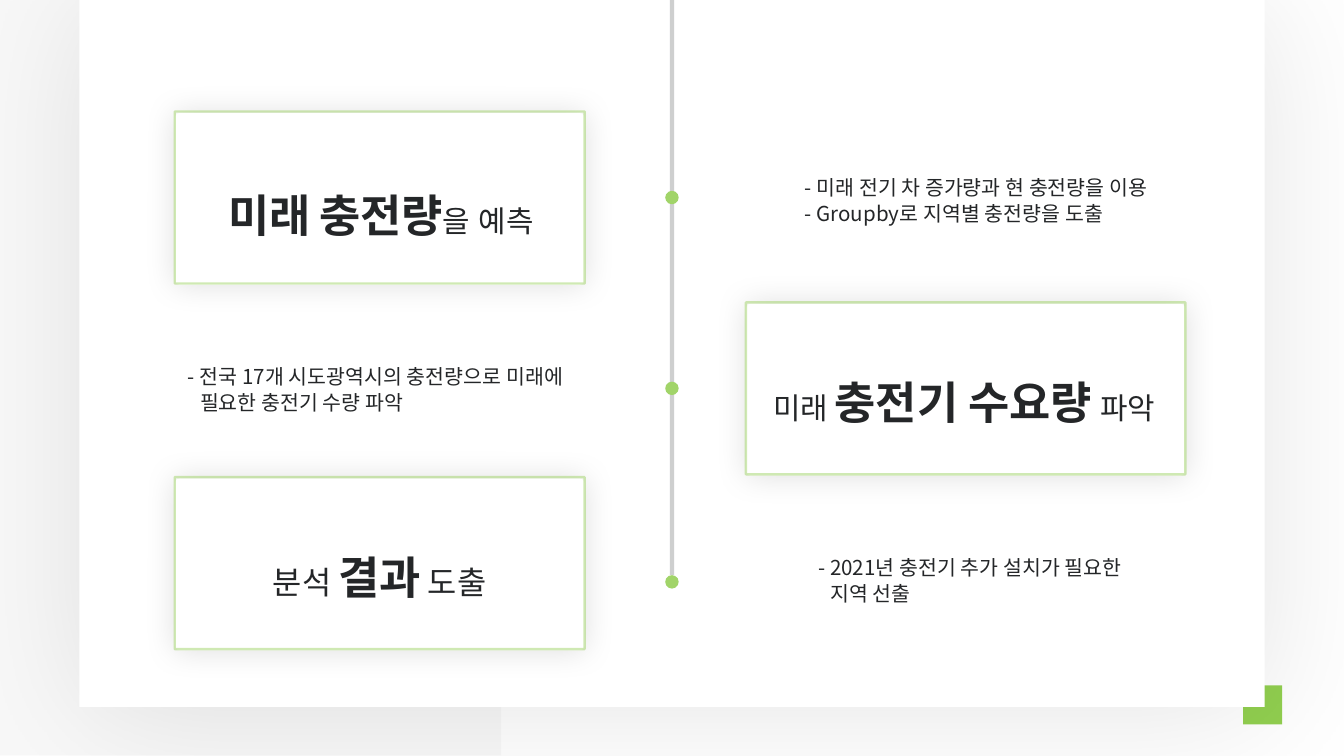
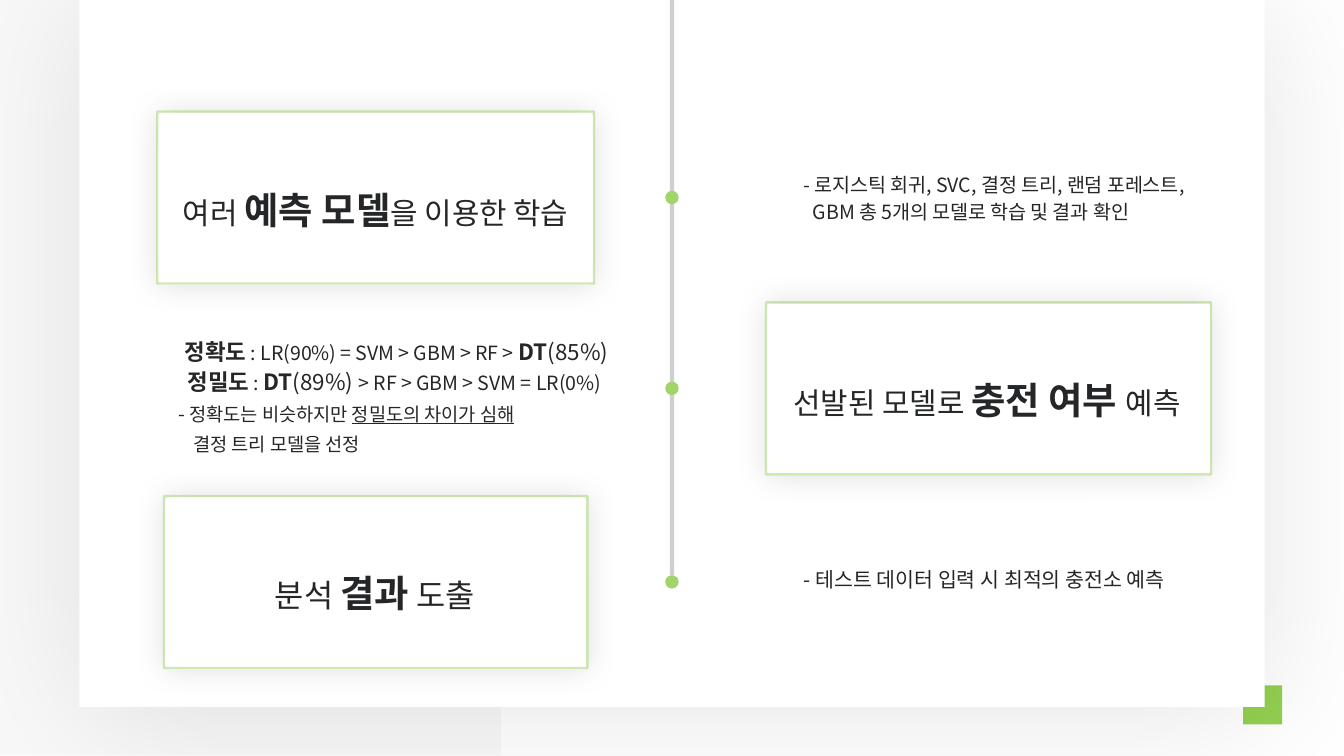
from lxml.etree import SubElement
from pptx import Presentation
from pptx.dml.color import RGBColor
from pptx.enum.shapes import MSO_CONNECTOR as Link, MSO_SHAPE as Kind
from pptx.enum.text import MSO_ANCHOR as Anchor, MSO_AUTO_SIZE as Fit, PP_ALIGN as Align
from pptx.oxml.ns import qn
from pptx.util import Inches, Pt

FONT = "Noto Sans CJK KR"
INK, WHITE, BLACK = "242628", "FFFFFF", "000000"
GREEN, CORNER, GRAY = "A1D469", "92D050", "BFBFBF"
CARD_HIGH = 1.28
DOT = 0.1


def color(code):
    return RGBColor.from_string(code)


def fade(node, share):
    SubElement(node, qn("a:alpha"), val=str(share * 1000))


class Deck:
    def __init__(self):
        self.prs = Presentation()
        self.prs.slide_width = Inches(10)
        self.prs.slide_height = Inches(10) * 9 // 16
        self.slide = None

    def page(self):
        self.slide = self.prs.slides.add_slide(self.prs.slide_layouts[6])
        self.shape(Kind.RECTANGLE, -0.49, 0, 4.22, 5.62, GRAY, alpha=10)
        self.shape(Kind.RECTANGLE, 9.25, 5.1, 0.29, 0.29, CORNER)
        sheet = self.shape(Kind.RECTANGLE, 0.59, -0.02, 8.82, 5.28, WHITE)
        self.shadow(sheet, 10, 77, 5, 45)

    def shape(self, kind, left, top, width, height, fill=None, line=None, alpha=None):
        item = self.slide.shapes.add_shape(
            kind, Inches(left), Inches(top), Inches(width), Inches(height))
        item.shadow.inherit = False
        if fill:
            item.fill.solid()
            item.fill.fore_color.rgb = color(fill)
        else:
            item.fill.background()
        if line:
            item.line.color.rgb = color(line)
            item.line.width = Pt(1.25)
        else:
            item.line.fill.background()
        if alpha:
            fade(item._element.spPr.find(".//" + qn("a:srgbClr")), alpha)
        return item

    def shadow(self, item, alpha, blur, dist, angle):
        glow = SubElement(
            item._element.spPr.find(qn("a:effectLst")), qn("a:outerShdw"),
            blurRad=str(Pt(blur)), dist=str(Pt(dist)), dir=str(angle * 60000),
            algn="ctr", rotWithShape="0")
        fade(SubElement(glow, qn("a:srgbClr"), val=BLACK), alpha)

    def card(self, left, top, width):
        back = self.shape(Kind.ROUNDED_RECTANGLE, left, top + 0.01, width, CARD_HIGH, WHITE)
        back.adjustments[0] = 0.03
        self.shadow(back, 13, 17, 0, 0)
        edge = self.shape(Kind.ROUNDED_RECTANGLE, left, top, width, CARD_HIGH,
                          line=GREEN, alpha=50)
        edge.adjustments[0] = 0

    def axis(self, tops):
        line = self.slide.shapes.add_connector(
            Link.STRAIGHT, Inches(5), Inches(-0.02), Inches(5), Inches(tops[-1]))
        line.line.width = Pt(2.25)
        line.line.color.rgb = color(INK)
        props = line._element.spPr
        fade(props.find(".//" + qn("a:srgbClr")), 21)
        SubElement(props, qn("a:effectLst"))
        for top in tops:
            self.shape(Kind.OVAL, 5 - DOT / 2, top, DOT, DOT, GREEN)

    def box(self, left, top, width, height, mid=False, wrap=False):
        frame = self.slide.shapes.add_textbox(
            Inches(left), Inches(top), Inches(width), Inches(height)).text_frame
        frame.word_wrap = wrap
        frame.auto_size = Fit.SHAPE_TO_FIT_TEXT
        frame.vertical_anchor = Anchor.MIDDLE if mid else Anchor.TOP
        return frame

    def para(self, frame, runs, space, center=False, pad=0):
        first = frame.paragraphs[0]
        para = frame.add_paragraph() if first.runs else first
        para.line_spacing = space
        para.alignment = Align.CENTER if center else Align.LEFT
        if pad:
            props = para._p.get_or_add_pPr()
            props.set("marL", str(Inches(pad)))
            props.set("indent", str(Inches(-pad) if runs[0][0].startswith("-") else 0))
        font = para.font
        font.color.rgb = color(INK)
        font.name = FONT
        sizes = {size for _, size, _ in runs}
        if len(sizes) == 1:
            font.size = Pt(sizes.pop())
        for text, size, style in runs:
            for num, part in enumerate(text.split("\n")):
                if num:
                    para.add_line_break()
                run = para.add_run()
                run.text = part
                if font.size is None:
                    run.font.size = Pt(size)
                if style == "b":
                    run.font.bold = True
                if style == "u":
                    run.font.underline = True

    def title(self, place, runs, mid=False):
        self.para(self.box(*place, mid=mid), runs, 1.5, center=True)

    def note(self, place, lines, size=11, pad=0.09, mid=False):
        frame = self.box(*place, mid=mid)
        for text in lines:
            self.para(frame, [(text, size, "")], Pt(14), pad=pad)

    def scores(self, place, rows):
        frame = self.box(*place, mid=True, wrap=True)
        for runs, center in rows:
            self.para(frame, runs, Pt(16), center, 0 if center else 0.11)


def main():
    deck = Deck()
    stops = (1.42, 2.84, 4.28)

    deck.page()
    for spot in ((5.55, 2.25, 3.27), (1.3, 0.83, 3.05), (1.3, 3.55, 3.05)):
        deck.card(*spot)
    deck.axis(stops)
    deck.title((1.48, 1.15, 2.71, 0.61),
               [("미래", 24, "b"), (" ", 20, "b"), ("충전량", 24, "b"),
                ("을", 16, ""), (" ", 20, "b"), ("예측", 16, "")])
    deck.note((5.89, 1.24, 3.12, 0.47),
              ["- 미래 전기 차 증가량과 현 충전량을 이용", "- Groupby로 지역별 충전량을 도출"])
    deck.title((5.5, 2.58, 3.35, 0.61),
               [("미래 ", 16, ""), ("충전기 수요량", 24, "b"), (" ", 20, "b"),
                ("파악", 16, "")], mid=True)
    deck.note((1.3, 2.65, 3.4, 0.47),
              ["- 전국 17개 시도광역시의 충전량으로 미래에", "필요한 충전기 수량 파악"])
    deck.title((1.84, 3.84, 1.97, 0.61),
               [("분석 ", 17, ""), ("결과", 24, "b"), (" 도출", 17, "")])
    deck.note((5.99, 4.07, 2.81, 0.47),
              ["- 2021년 충전기 추가 설치가 필요한", "지역 선출"])

    deck.page()
    for spot in ((1.22, 3.69, 3.15), (5.7, 2.25, 3.31), (1.17, 0.83, 3.25)):
        deck.card(*spot)
    deck.axis(stops)
    deck.title((1.09, 1.17, 3.41, 0.61),
               [("여러 ", 16, ""), ("예측 모델", 20, "b"), ("을 이용한 학습", 16, "")], mid=True)
    deck.note((5.88, 1.23, 3.38, 0.47),
              ["- 로지스틱 회귀, SVC, 결정 트리, 랜덤 포레스트,\nGBM 총 5개의 모델로 학습 및 결과 확인"],
              size=10.5, pad=0.07, mid=True)
    deck.title((5.63, 2.59, 3.43, 0.53),
               [("선발된 모델로 ", 16, ""), ("충전 여부 ", 20, "b"), ("예측", 16, "")])
    deck.title((1.86, 4.03, 1.86, 0.53),
               [("분석 ", 17, ""), ("결과", 20, "b"), (" 도출", 17, "")])
    deck.note((5.88, 4.17, 3.27, 0.27),
              ["- 테스트 데이터 입력 시 최적의 충전소 예측"], mid=True)
    deck.scores((1.23, 2.44, 3.41, 1), [
        ([(" ", 10.5, ""), ("정확도", 12, "b"), (" : LR(90%) = SVM > GBM > RF > ", 10.5, ""),
          ("DT", 12, "b"), ("(85%)", 12, "")], True),
        ([("정밀도", 12, "b"), (" : ", 10.5, ""), ("DT", 12, "b"),
          ("(89%) ", 12, ""), ("> RF > GBM > SVM = LR(0%)", 10.5, "")], True),
        ([("- ", 10.5, ""), ("정확도는 비슷하지만 ", 10, ""),
          ("정밀도의 차이가 심해", 10, "u")], False),
        ([("결정 트리 모델을 선정", 10, "")], False),
    ])

    deck.prs.save("out.pptx")


if __name__ == "__main__":
    main()
